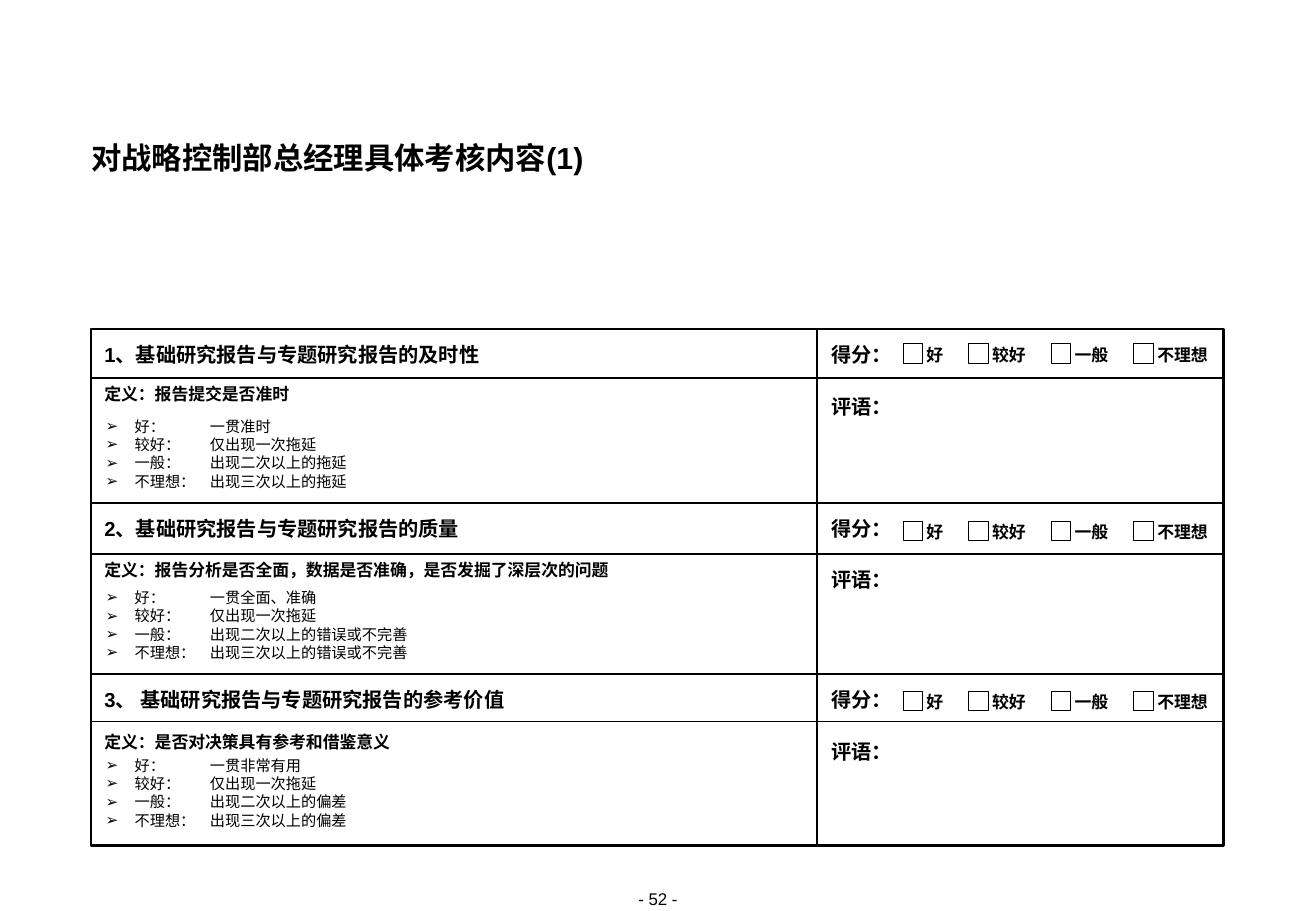
import dataclasses

import pptx
import pptx.dml.color
import pptx.enum.shapes
import pptx.enum.text
import pptx.oxml
import pptx.oxml.ns
import pptx.util

Inches = pptx.util.Inches
Pt = pptx.util.Pt
ALIGN = pptx.enum.text.PP_ALIGN
ANCHOR = pptx.enum.text.MSO_ANCHOR
RECTANGLE = pptx.enum.shapes.MSO_SHAPE.RECTANGLE
BLACK = "000000"
WHITE = "FFFFFF"
GRADES = ["好", "较好", "一般", "不理想"]
FORM_LEFT, FORM_TOP, FORM_WIDTH, FORM_HEIGHT = 0.75, 2.71, 9.33, 4.25
SCORE_LEFT = 6.73


@dataclasses.dataclass
class Criterion:
    top: float
    header_height: float
    definition_gap: float
    grades_gap: float
    options_shift: float
    heading: str
    definition: str
    standards: list


CRITERIA = [
    Criterion(2.71, 0.40, 0.05, 0.34, -0.01, "1、基础研究报告与专题研究报告的及时性",
              "定义：报告提交是否准时",
              ["一贯准时", "仅出现一次拖延", "出现二次以上的拖延", "出现三次以上的拖延"]),
    Criterion(4.14, 0.42, 0.05, 0.30, 0.02, "2、基础研究报告与专题研究报告的质量",
              "定义：报告分析是否全面，数据是否准确，是否发掘了深层次的问题",
              ["一贯全面、准确", "仅出现一次拖延", "出现二次以上的错误或不完善",
               "出现三次以上的错误或不完善"]),
    Criterion(5.55, 0.39, 0.08, 0.30, 0.01, "3、 基础研究报告与专题研究报告的参考价值",
              "定义：是否对决策具有参考和借鉴意义",
              ["一贯非常有用", "仅出现一次拖延", "出现二次以上的偏差", "出现三次以上的偏差"]),
]


def color(hex_string):
    return pptx.dml.color.RGBColor.from_string(hex_string)


def style_text(frame, text, size, bold, align=ALIGN.LEFT, spacing=None,
               anchor=ANCHOR.TOP, wrap=True):
    frame.margin_left = frame.margin_right = frame.margin_top = frame.margin_bottom = 0
    frame.word_wrap = wrap
    frame.auto_size = pptx.enum.text.MSO_AUTO_SIZE.SHAPE_TO_FIT_TEXT
    frame.vertical_anchor = anchor
    frame.text = text
    for paragraph in frame.paragraphs:
        paragraph.alignment = align
        if spacing:
            paragraph.line_spacing = spacing
        for run in paragraph.runs:
            run.font.name = "Arial"
            run.font.size = Pt(size)
            run.font.bold = bold
            run.font.color.rgb = color(BLACK)


def add_text(shapes, left, top, width, height, text, size, bold=True, **layout):
    label = shapes.add_textbox(Inches(left), Inches(top), Inches(width), Inches(height))
    style_text(label.text_frame, text, size, bold, **layout)
    return label.text_frame


def add_centred_label(shapes, left, top, width, text, size):
    add_text(shapes, left, top, width, 0.19, text, size, align=ALIGN.CENTER,
             spacing=Pt(14), anchor=ANCHOR.MIDDLE, wrap=False)


def add_box(shapes, left, top, width, height, weight, fill=None):
    box = shapes.add_shape(RECTANGLE, Inches(left), Inches(top), Inches(width), Inches(height))
    box.shadow.inherit = False
    if fill:
        box.fill.solid()
        box.fill.fore_color.rgb = color(fill)
    else:
        box.fill.background()
    box.line.color.rgb = color(BLACK)
    box.line.width = Pt(weight)


def add_rule(shapes, left, top, right, bottom, weight):
    rule = shapes.add_connector(pptx.enum.shapes.MSO_CONNECTOR.STRAIGHT,
                                Inches(left), Inches(top), Inches(right), Inches(bottom))
    rule.line.color.rgb = color(BLACK)
    rule.line.width = Pt(weight)
    properties = rule._element.spPr
    properties.append(properties.makeelement(pptx.oxml.ns.qn("a:effectLst"), {}))


def add_arrow_bullet(paragraph):
    properties = paragraph._p.get_or_add_pPr()
    properties.set("marL", str(Inches(0.25)))
    properties.set("indent", str(Inches(-0.24)))
    namespace = pptx.oxml.ns.nsdecls("a")
    for xml in (
        f'<a:buClr {namespace}><a:srgbClr val="{BLACK}"/></a:buClr>',
        f'<a:buFont {namespace} typeface="Arial"/>',
        f'<a:buChar {namespace} char="➢"/>',
        f'<a:tabLst {namespace}><a:tab pos="{Inches(0.87)}" algn="l"/></a:tabLst>',
    ):
        properties.append(pptx.oxml.parse_xml(xml))


def add_grade_list(shapes, left, top, standards):
    lines = [f"{grade}：\t{standard}" for grade, standard in zip(GRADES, standards)]
    frame = add_text(shapes, left, top, 5.76, 0.59, "\n".join(lines), 9, bold=False, spacing=0.9)
    for position, paragraph in enumerate(frame.paragraphs):
        paragraph.level = 1
        paragraph.space_before = Pt(1.1 if position else 0)
        add_arrow_bullet(paragraph)


def add_score_options(shapes, left, top):
    options = shapes.add_group_shape().shapes
    for grade in GRADES:
        label_width = 0.14 * len(grade)
        add_box(options, left, top + 0.02, 0.16, 0.16, 0.5, WHITE)
        add_centred_label(options, left + 0.19, top, label_width, grade, 10)
        left += 0.4 + label_width


def add_criterion(shapes, left, score_left, criterion):
    text_left = left + 0.11
    heading_top = criterion.top + 0.11
    definition_top = criterion.top + criterion.header_height + criterion.definition_gap
    grades_top = criterion.top + criterion.header_height + criterion.grades_gap
    add_text(shapes, text_left, heading_top, 5.72, 0.2, criterion.heading, 12)
    add_text(shapes, text_left, definition_top, 5.74, 0.17, criterion.definition, 10)
    add_grade_list(shapes, text_left, grades_top, criterion.standards)
    add_text(shapes, score_left + 0.12, heading_top, 0.55, 0.2, "得分：", 12)
    add_centred_label(shapes, score_left + 0.12, heading_top + 0.43, 0.5, "评语：", 12)
    add_score_options(shapes, score_left + 0.71, heading_top + criterion.options_shift)


def add_form(shapes, left, top, width, height):
    add_box(shapes, left, top, width, height, 1.5)
    add_rule(shapes, SCORE_LEFT, top, SCORE_LEFT, top + height, 1.5)
    for criterion in CRITERIA:
        header_bottom = criterion.top + criterion.header_height
        for rule_top in (criterion.top, header_bottom):
            if rule_top > top:
                add_rule(shapes, left, rule_top, left + width, rule_top, 1)
        add_criterion(shapes, left, SCORE_LEFT, criterion)


def add_title(slide, left, top, width, height):
    title = slide.shapes.title
    title.left, title.top = Inches(left), Inches(top)
    title.width, title.height = Inches(width), Inches(height)
    style_text(title.text_frame, "对战略控制部总经理具体考核内容(1)", 18, True, spacing=Pt(20))


def main():
    presentation = pptx.Presentation()
    presentation.slide_width = Inches(10.84)
    presentation.slide_height = Inches(7.5)
    slide = presentation.slides.add_slide(presentation.slide_layouts[5])
    add_title(slide, FORM_LEFT, 1.17, FORM_WIDTH, 0.28)
    add_form(slide.shapes, FORM_LEFT, FORM_TOP, FORM_WIDTH, FORM_HEIGHT)
    add_text(slide.shapes, 4.85, 7.32, 1.14, 0.17, "- 52 -", 10, bold=False, align=ALIGN.CENTER)
    presentation.save("out.pptx")


if __name__ == "__main__":
    main()
